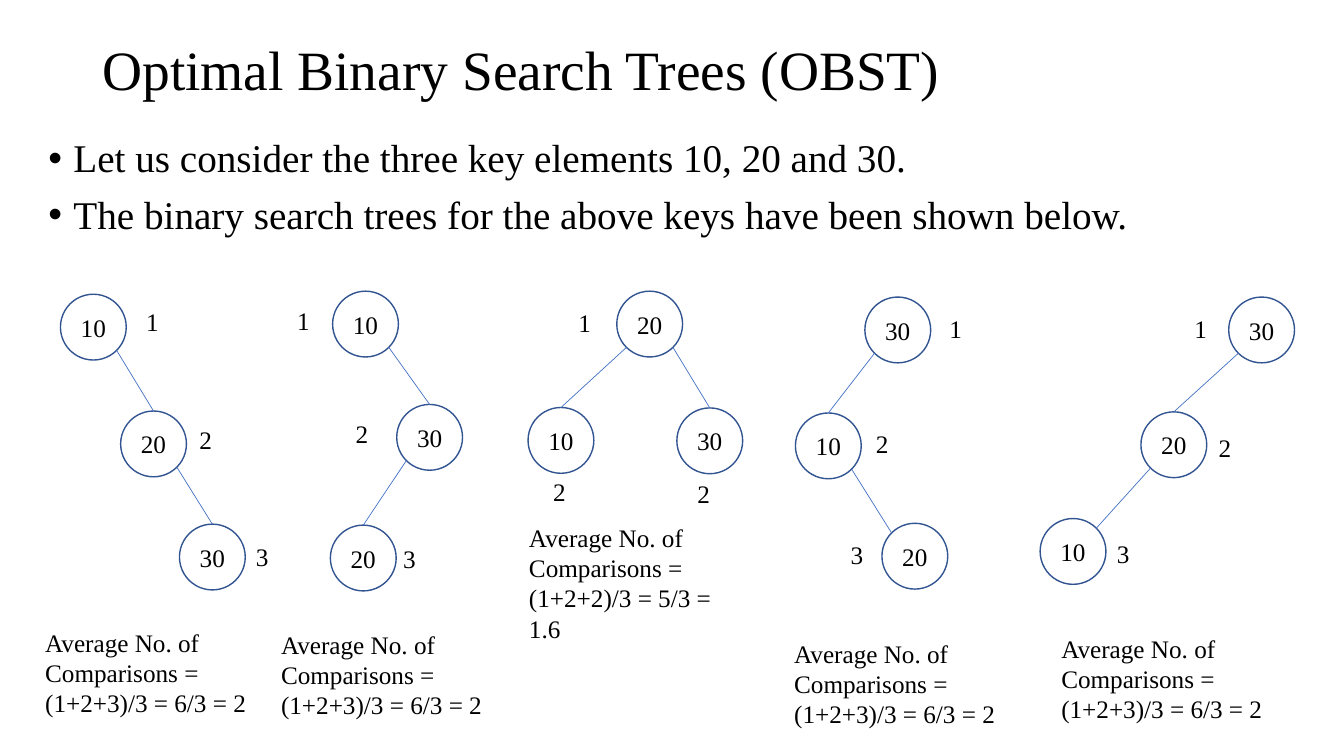
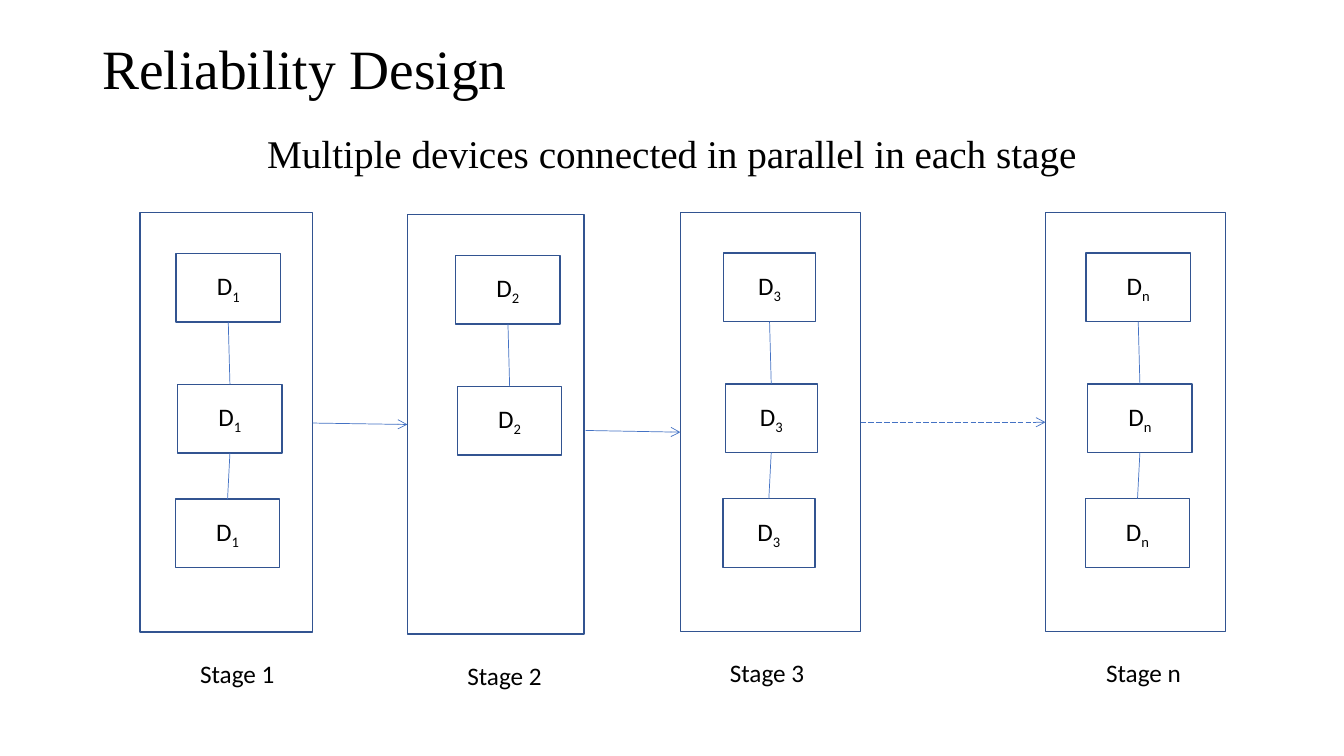
import math
from dataclasses import dataclass
from typing import NamedTuple

from lxml import etree
from pptx import Presentation
from pptx.dml.color import RGBColor
from pptx.enum import dml, shapes, text
from pptx.oxml.ns import qn
from pptx.util import Pt


@dataclass(frozen=True)
class Theme:
    ink: RGBColor = RGBColor(0, 0, 0)
    paper: RGBColor = RGBColor(255, 255, 255)
    border: RGBColor = RGBColor(0x32, 0x54, 0x91)
    link: RGBColor = RGBColor(0x44, 0x72, 0xC4)
    serif: str = "Times New Roman"
    sans: str = "Calibri"
    title: float = 39.6
    body: float = 28
    small: float = 18
    edge: float = 1
    thin: float = 0.5


class Box(NamedTuple):
    left: float
    top: float
    width: float
    height: float


class Point(NamedTuple):
    x: float
    y: float


class Node(NamedTuple):
    key: int
    level: int
    at: Point  # top left of the circle
    tag: Point  # top left of the level number
    parent: int | None = None
    slant: bool = False  # the edge ends on the shoulder, not on the top


class Tree(NamedTuple):
    nodes: list[Node]
    note: Point


class Stage(NamedTuple):
    index: str
    left: float
    top: float
    width: float
    column: float
    device: float
    count: int
    middle: float  # centre of the caption


class Arrow(NamedTuple):
    start: Point
    end: Point
    dashed: bool = False


THEME = Theme()
CIRCLE = 47
DEVICE_HEIGHT = 49
STAGE_HEIGHT = 299.5
CAPTION_WIDTH = 114
CAPTION_DROP = 314.6
NUDGES = [Point(0, 29), Point(1.2, 122.5), Point(-0.5, 204.5)]

TREES = [
    Tree([Node(10, 1, Point(43.2, 210.2), Point(97.2, 215.3)),
          Node(20, 2, Point(86.2, 293.6), Point(135.4, 299.5), 0),
          Node(30, 3, Point(128.2, 374.4), Point(175.7, 383), 1)], Point(25.2, 444.2)),
    Tree([Node(10, 1, Point(237.6, 208), Point(205.2, 214.6)),
          Node(30, 2, Point(283.4, 288.9), Point(247, 295.2), 0),
          Node(20, 3, Point(236, 375.1), Point(280.8, 384.5), 1)], Point(193.7, 445.7)),
    Tree([Node(20, 1, Point(440.6, 208), Point(406.1, 216)),
          Node(10, 2, Point(377.2, 291.1), Point(388.1, 337), 0),
          Node(30, 2, Point(483.5, 291.4), Point(491, 338.4), 0)], Point(370.8, 369.4)),
    Tree([Node(30, 1, Point(617.8, 212.2), Point(671, 220.3)),
          Node(10, 2, Point(568.2, 295), Point(618.5, 302.4), 0),
          Node(20, 3, Point(630, 373.8), Point(600.5, 381.6), 1, True)], Point(560.2, 452.2)),
    Tree([Node(30, 1, Point(877.7, 212.2), Point(846, 220.3)),
          Node(20, 2, Point(815, 294.2), Point(863.3, 305.3), 0),
          Node(10, 3, Point(743, 370.4), Point(790.6, 380.9), 1, True)], Point(751, 448.6)),
]
STAGES = [
    Stage("1", 100, 152, 123.3, 125.8, 74.5, 3, 169.5),
    Stage("2", 291, 153.4, 126.3, 325.6, 74.5, 2, 360.4),
    Stage("3", 486, 151.7, 128.7, 516.8, 65.8, 3, 547.9),
    Stage("n", 746.8, 151.7, 128.7, 775.8, 74.5, 3, 816.8),
]
ARROWS = [
    Arrow(Point(223.3, 302.2), Point(291, 303.2)),
    Arrow(Point(418.3, 307.5), Point(486, 308.7)),
    Arrow(Point(614.7, 301.6), Point(746.8, 301.6), True),
]


def style(frame, size: float, font: str, align=text.PP_ALIGN.LEFT) -> None:
    frame.word_wrap = True
    for par in frame.paragraphs:
        par.alignment = align
        for run in par.runs:
            run.font.size = Pt(size)
            run.font.name = font
            run.font.color.rgb = THEME.ink


def add_text(slide, box: Box, words: str, size: float = THEME.small,
             font: str = THEME.serif, align=text.PP_ALIGN.LEFT):
    frame = slide.shapes.add_textbox(*map(Pt, box)).text_frame
    frame.text = words
    style(frame, size, font, align)
    return frame


def add_title(slide, words: str, height: float) -> None:
    frame = add_text(slide, Box(66, 28.8, 828, height), words, THEME.title)
    frame.vertical_anchor = text.MSO_ANCHOR.MIDDLE
    frame.paragraphs[0].line_spacing = 0.9


def add_body(slide, box: Box, words: str, bullets: bool) -> None:
    align = text.PP_ALIGN.LEFT if bullets else text.PP_ALIGN.CENTER
    frame = add_text(slide, box, words, THEME.body, align=align)
    for par in frame.paragraphs:
        par.line_spacing = 0.9
        par.space_before = Pt(10)
        if bullets:
            props = par._p.get_or_add_pPr()
            props.set("marL", str(Pt(18)))
            props.set("indent", str(-Pt(18)))
            etree.SubElement(props, qn("a:buFont")).set("typeface", "Arial")
            etree.SubElement(props, qn("a:buChar")).set("char", "•")


def add_shape(slide, kind, box: Box, words: str = "", font: str = THEME.serif, sub: str = ""):
    """Draw an outlined shape, with an optional subscript after its words."""
    shape = slide.shapes.add_shape(kind, *map(Pt, box))
    shape.shadow.inherit = False
    shape.fill.solid()
    shape.fill.fore_color.rgb = THEME.paper
    shape.line.color.rgb = THEME.border
    shape.line.width = Pt(THEME.edge)
    frame = shape.text_frame
    frame.vertical_anchor = text.MSO_ANCHOR.MIDDLE
    if words:
        frame.text = words
    if sub:
        run = frame.paragraphs[0].add_run()
        run.text = sub
        run._r.get_or_add_rPr().set("baseline", "-25000")
    style(frame, THEME.small, font, text.PP_ALIGN.CENTER)
    return shape


def add_line(slide, start: Point = Point(0, 0), end: Point = Point(0, 0)):
    line = slide.shapes.add_connector(shapes.MSO_CONNECTOR.STRAIGHT, *map(Pt, start + end))
    line.line.color.rgb = THEME.link
    line.line.width = Pt(THEME.thin)
    etree.SubElement(line._element.spPr, qn("a:effectLst"))
    return line


def add_arrow(slide, arrow: Arrow) -> None:
    line = add_line(slide, arrow.start, arrow.end).line
    if arrow.dashed:
        line.dash_style = dml.MSO_LINE.LONG_DASH
    etree.SubElement(line._get_or_add_ln(), qn("a:tailEnd")).set("type", "arrow")


def rim(node: Node, side: int, rise: int) -> Point:
    """Find a point on the circle: side and rise are -1, 0 or 1."""
    half = CIRCLE / 2
    reach = half / math.hypot(side, rise)
    return Point(node.at.x + half + side * reach, node.at.y + half + rise * reach)


def add_tree(slide, tree: Tree) -> None:
    for node in tree.nodes:
        add_shape(slide, shapes.MSO_SHAPE.OVAL, Box(*node.at, CIRCLE, CIRCLE), str(node.key))
        add_text(slide, Box(*node.tag, 27, 29), str(node.level))
        if node.parent is not None:
            above = tree.nodes[node.parent]
            side = 1 if node.at.x > above.at.x else -1
            add_line(slide, rim(above, side, 1), rim(node, -side if node.slant else 0, -1))
    levels = [node.level for node in tree.nodes]
    total, count = sum(levels), len(levels)
    mean = math.floor(10 * total / count) / 10
    terms = "+".join(map(str, levels))
    add_text(slide, Box(*tree.note, 165.6, 73 if mean.is_integer() else 94),
             f"Average No. of Comparisons = ({terms})/{count} = {total}/{count} = {mean:g}")


def add_stage(slide, stage: Stage) -> None:
    kind = shapes.MSO_SHAPE.RECTANGLE
    add_shape(slide, kind, Box(stage.left, stage.top, stage.width, STAGE_HEIGHT))
    last = None
    for nudge in NUDGES[:stage.count]:
        box = Box(stage.column + nudge.x, stage.top + nudge.y, stage.device, DEVICE_HEIGHT)
        device = add_shape(slide, kind, box, "D", THEME.sans, stage.index)
        if last is not None:
            line = add_line(slide)
            line.begin_connect(last, 2)
            line.end_connect(device, 0)
        last = device
    caption = Box(stage.middle - CAPTION_WIDTH / 2, stage.top + CAPTION_DROP, CAPTION_WIDTH, 29)
    add_text(slide, caption, f"Stage {stage.index}", font=THEME.sans, align=text.PP_ALIGN.CENTER)


def draw_trees(slide) -> None:
    add_title(slide, "Optimal Binary Search Trees (OBST)", 46)
    add_body(slide, Box(27.4, 95.8, 905.8, 96.5),
             "Let us consider the three key elements 10, 20 and 30.\n"
             "The binary search trees for the above keys have been shown below.", True)
    for tree in TREES:
        add_tree(slide, tree)


def draw_stages(slide) -> None:
    add_title(slide, "Reliability Design", 44)
    add_body(slide, Box(66, 92.9, 828, 42.5),
             "Multiple devices connected in parallel in each stage", False)
    for stage in STAGES:
        add_stage(slide, stage)
    for arrow in ARROWS:
        add_arrow(slide, arrow)


def main() -> None:
    deck = Presentation()
    deck.slide_width, deck.slide_height = Pt(960), Pt(540)
    for draw in (draw_trees, draw_stages):
        draw(deck.slides.add_slide(deck.slide_layouts[6]))
    deck.save("out.pptx")


if __name__ == "__main__":
    main()
